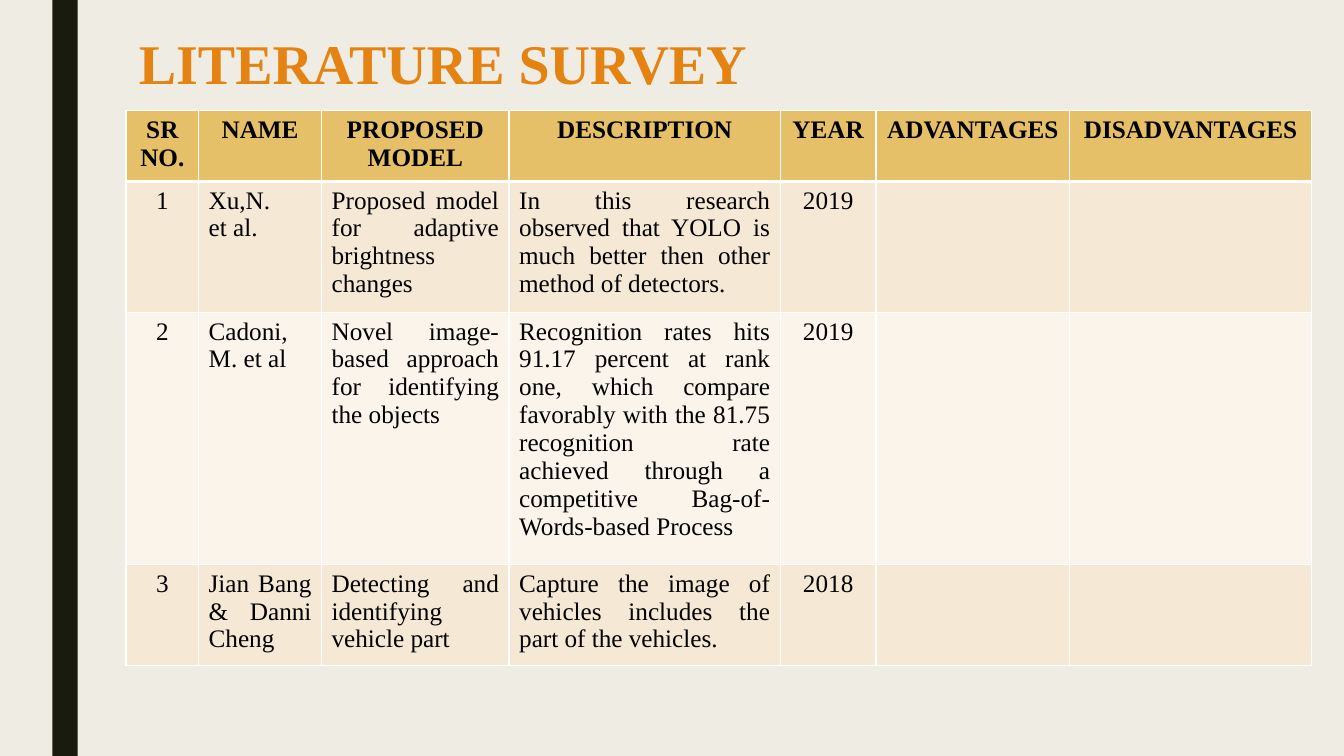
from lxml.etree import SubElement
from pptx import Presentation
from pptx.dml.color import RGBColor
from pptx.enum.shapes import MSO_SHAPE as Shape
from pptx.enum.text import MSO_ANCHOR as Anchor, PP_ALIGN as Align
from pptx.oxml.ns import qn
from pptx.util import Inches, Pt

PAPER = RGBColor(0xEF, 0xED, 0xE3)
INK = RGBColor(0x19, 0x1B, 0x0E)
ORANGE = RGBColor(0xE4, 0x83, 0x12)
GOLD = RGBColor(0xE6, 0xC0, 0x69)
SAND = RGBColor(0xF5, 0xE8, 0xD4)
CREAM = RGBColor(0xFA, 0xF4, 0xEB)
WHITE = RGBColor(0xFF, 0xFF, 0xFF)
BLACK = RGBColor(0, 0, 0)

FONT = "Times New Roman"
COLUMNS = [0.72, 1.22, 1.86, 2.69, 0.95, 1.92, 2.4]
ROWS = [0.7, 1.3, 2.5, 1]
CENTRED_COLUMNS = (0, 4)
SURVEY = [
    ["SR NO.", "NAME", "PROPOSED MODEL", "DESCRIPTION", "YEAR", "ADVANTAGES", "DISADVANTAGES"],
    ["1", "Xu,N.\net al.", "Proposed model for adaptive brightness changes",
     "In this research observed that YOLO is much better then other method of detectors.",
     "2019", "", ""],
    ["2", "Cadoni, M. et al", "Novel image-based approach for identifying the objects",
     "Recognition rates hits 91.17 percent at rank one, which compare favorably with the "
     "81.75 recognition rate achieved through a competitive Bag-of-Words-based Process",
     "2019", "", ""],
    ["3", "Jian Bang & Danni Cheng", "Detecting and identifying vehicle part",
     "Capture the image of vehicles includes the part of the vehicles.", "2018", "", ""],
]


def write(frame, text, size=18, color=BLACK, bold=False, align=Align.LEFT):
    """Fill a text frame with one paragraph for each line of text."""
    frame.word_wrap = True
    for index, line in enumerate(text.split("\n")):
        para = frame.paragraphs[0] if index == 0 else frame.add_paragraph()
        para.alignment = align
        span = para.add_run()
        span.text = line
        span.font.name = FONT
        span.font.size = Pt(size)
        span.font.bold = bold
        span.font.color.rgb = color


def add_bar(page, left, width, height):
    """Draw the dark vertical bar beside the content."""
    bar = page.shapes.add_shape(Shape.RECTANGLE, left, 0, width, height)
    bar.shadow.inherit = False
    bar.fill.solid()
    bar.fill.fore_color.rgb = INK
    bar.line.fill.background()


def add_title(page, text):
    """Place the slide title."""
    box = page.shapes.add_textbox(Inches(1.28), Inches(0.23), Inches(10.5), Inches(0.67))
    box.text_frame.vertical_anchor = Anchor.TOP
    write(box.text_frame, text, size=40, color=ORANGE, bold=True)


def set_borders(cell, **widths):
    """Give a cell white borders of the given widths in points."""
    properties = cell._tc.get_or_add_tcPr()
    for side in "LRTB":
        line = SubElement(properties, qn(f"a:ln{side}"), w=str(Pt(widths.get(side, 1))))
        fill = SubElement(line, qn("a:solidFill"))
        SubElement(fill, qn("a:srgbClr"), val=str(WHITE))


def style_cell(cell, row, column, text):
    """Format one survey cell by its place in the grid."""
    header = row == 0
    set_borders(cell, B=3 if header else 1, T=3 if row == 1 else 1)
    cell.fill.solid()
    cell.fill.fore_color.rgb = GOLD if header else (CREAM, SAND)[row % 2]
    if text:
        centred = header or column in CENTRED_COLUMNS
        write(cell.text_frame, text, bold=header,
              align=Align.CENTER if centred else Align.JUSTIFY)


def add_survey(page, left, top):
    """Build the survey table."""
    table = page.shapes.add_table(len(ROWS), len(COLUMNS), left, top,
                                  Inches(sum(COLUMNS)), Inches(sum(ROWS))).table
    for column, width in zip(table.columns, COLUMNS):
        column.width = Inches(width)
    for row, height in zip(table.rows, ROWS):
        row.height = Inches(height)
    for row, entries in enumerate(SURVEY):
        for column, text in enumerate(entries):
            style_cell(table.cell(row, column), row, column, text)


def main():
    """Build and save the deck."""
    deck = Presentation()
    deck.slide_width, deck.slide_height = Inches(13.33), Inches(7.5)
    page = deck.slides.add_slide(deck.slide_layouts[6])
    page.background.fill.solid()
    page.background.fill.fore_color.rgb = PAPER
    add_bar(page, Inches(0.52), Inches(0.25), deck.slide_height)
    add_title(page, "LITERATURE SURVEY")
    add_survey(page, Inches(1.25), Inches(1.1))
    deck.save("out.pptx")


main()
